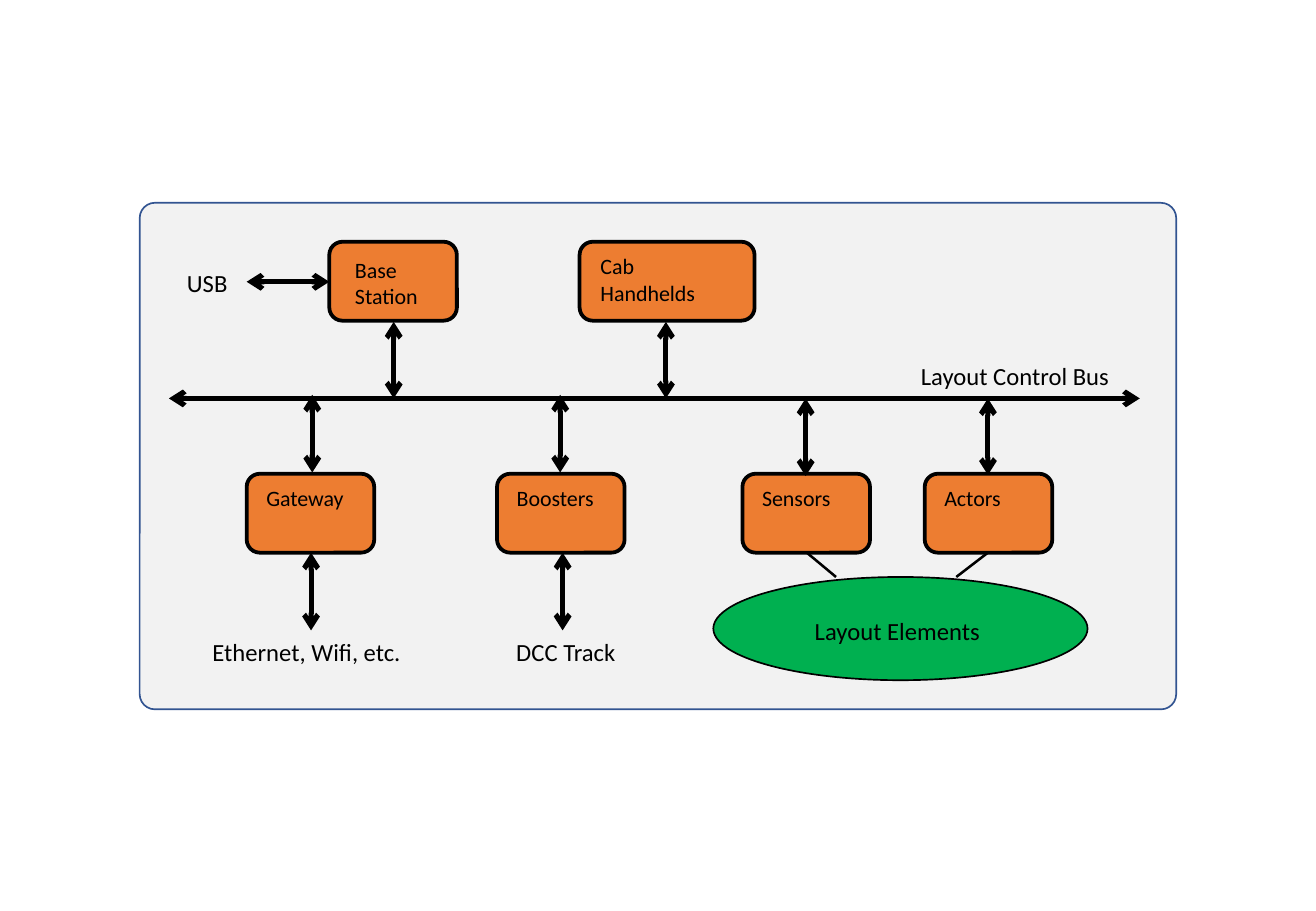
from lxml import etree
from pptx import Presentation
from pptx.dml.color import RGBColor
from pptx.enum.shapes import MSO_CONNECTOR, MSO_SHAPE
from pptx.enum.text import MSO_ANCHOR, MSO_AUTO_SIZE, PP_ALIGN
from pptx.oxml.ns import qn
from pptx.util import Pt

PX = 9144  # EMU per px, 100 px to the inch
FONT = "Calibri"
NODE_SIZE, LABEL_SIZE = 13, 14.6

BLACK = RGBColor(0x00, 0x00, 0x00)
PANEL_GREY = RGBColor(0xF2, 0xF2, 0xF2)
PANEL_BLUE = RGBColor(0x32, 0x54, 0x91)
NODE_ORANGE = RGBColor(0xED, 0x7D, 0x31)
LAYOUT_GREEN = RGBColor(0x00, 0xB0, 0x50)

ROUNDED, OVAL = MSO_SHAPE.ROUNDED_RECTANGLE, MSO_SHAPE.OVAL
STRAIGHT = MSO_CONNECTOR.STRAIGHT
LEFT, CENTER = PP_ALIGN.LEFT, PP_ALIGN.CENTER
TOP, MIDDLE = MSO_ANCHOR.TOP, MSO_ANCHOR.MIDDLE
FIT_SHAPE = MSO_AUTO_SIZE.SHAPE_TO_FIT_TEXT

BUS_Y = 328
NODE_W, NODE_H = 105, 65
UPPER_Y, LOWER_Y = 199, 390
LOWER_BOTTOM = LOWER_Y + NODE_H
LABEL_H = 35


def emu(*lengths):
    return [length * PX for length in lengths]


def add_panel(slide, kind, box, fill, line, width):
    panel = slide.shapes.add_shape(kind, *emu(*box))
    panel.shadow.inherit = False
    panel.fill.solid()
    panel.fill.fore_color.rgb = fill
    panel.line.color.rgb = line
    panel.line.width = Pt(width)
    return panel


def write(frame, text, size, align=LEFT):
    paragraph = frame.paragraphs[0]
    paragraph.alignment = align
    run = paragraph.add_run()
    run.text = text
    run.font.name = FONT
    run.font.size = Pt(size)
    run.font.color.rgb = BLACK


def set_frame(frame, insets, anchor):
    frame.word_wrap = True
    frame.vertical_anchor = anchor
    (frame.margin_left, frame.margin_top,
     frame.margin_right, frame.margin_bottom) = emu(*insets)


def add_node(slide, text, x, y, width=NODE_W, inset=(13, 6)):
    node = add_panel(slide, ROUNDED, (x, y, width, NODE_H),
                     NODE_ORANGE, BLACK, 2.25)
    set_frame(node.text_frame, (*inset, 18, 0), TOP)
    write(node.text_frame, text, NODE_SIZE)


def add_label(slide, text, x, y, width):
    label = slide.shapes.add_textbox(*emu(x, y, width, LABEL_H))
    label.text_frame.word_wrap = False
    label.text_frame.auto_size = FIT_SHAPE
    write(label.text_frame, text, LABEL_SIZE)


def add_line(slide, start, end, width):
    link = slide.shapes.add_connector(STRAIGHT, *emu(*start, *end))
    link.line.color.rgb = BLACK
    link.line.width = Pt(width)
    etree.SubElement(link._element.spPr, qn("a:effectLst"))
    return link


def add_double_arrow(slide, start, end):
    outline = add_line(slide, start, end, 3).line._get_or_add_ln()
    for tip in ("a:headEnd", "a:tailEnd"):
        etree.SubElement(outline, qn(tip), type="arrow")


def main():
    deck = Presentation()
    deck.slide_width, deck.slide_height = emu(1083, 750)
    slide = deck.slides.add_slide(deck.slide_layouts[6])

    # Background panel
    system = add_panel(slide, ROUNDED, (115, 167, 853, 417),
                       PANEL_GREY, PANEL_BLUE, 1)
    system.adjustments[0] = 0.03

    # Nodes above and below the bus
    add_node(slide, "Base Station", 271, UPPER_Y, inset=(18, 9))
    add_node(slide, "Cab Handhelds", 477, UPPER_Y, 144, (14, 6))
    for name, x in (("Gateway", 203), ("Boosters", 409),
                    ("Sensors", 611), ("Actors", 761)):
        add_node(slide, name, x, LOWER_Y)

    # Bus and its connections
    add_double_arrow(slide, (139, BUS_Y), (938, BUS_Y))
    for x, top, bottom in ((324, 265, BUS_Y), (548, 265, BUS_Y),
                           (257, 325, 389), (461, 325, 389),
                           (663, BUS_Y, 392), (813, BUS_Y, 391),
                           (256, LOWER_BOTTOM, 519),
                           (463, LOWER_BOTTOM, 519)):
        add_double_arrow(slide, (x, bottom), (x, top))
    add_double_arrow(slide, (203, 232), (271, 232))

    # Layout elements
    elements = add_panel(slide, OVAL, (587, 475, 308, 85),
                         LAYOUT_GREEN, BLACK, 1)
    set_frame(elements.text_frame, (0, 4, 5, 0), MIDDLE)
    write(elements.text_frame, "Layout Elements", LABEL_SIZE, CENTER)
    for node_x, oval_x in ((664, 688), (813, 787)):
        add_line(slide, (node_x, LOWER_BOTTOM), (oval_x, 475), 1.5)

    # Labels
    for text, x, y, width in (("USB", 144, 216, 54),
                              ("Layout Control Bus", 748, 292, 176),
                              ("Ethernet, Wifi, etc.", 165, 519, 176),
                              ("DCC Track", 415, 519, 102)):
        add_label(slide, text, x, y, width)

    deck.save("out.pptx")


if __name__ == "__main__":
    main()
